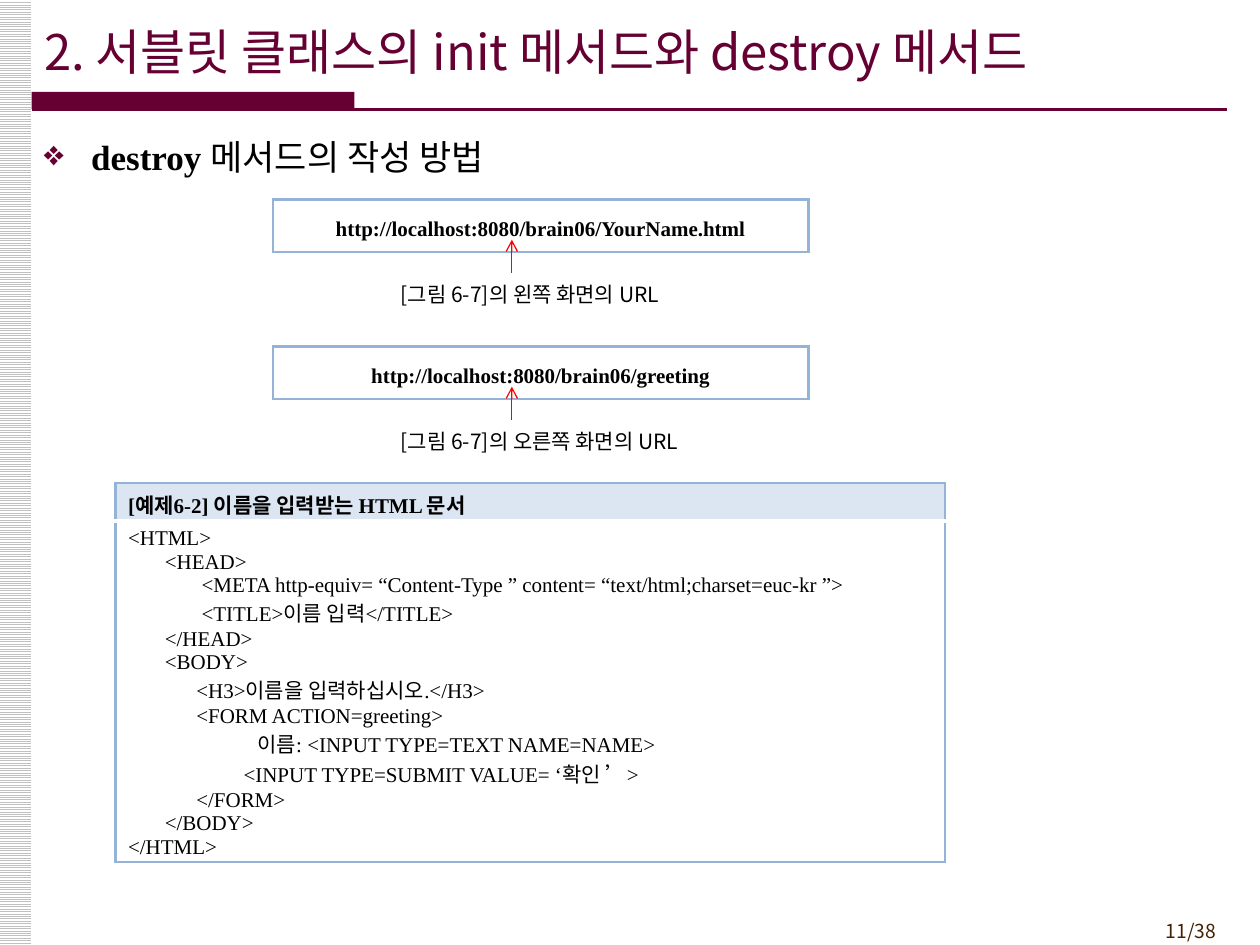
from dataclasses import dataclass
from typing import Optional

from lxml.etree import SubElement
from pptx import Presentation
from pptx.dml.color import RGBColor
from pptx.enum.dml import MSO_PATTERN
from pptx.enum.shapes import MSO_CONNECTOR as Connector, MSO_SHAPE as Shape
from pptx.enum.text import MSO_ANCHOR as Anchor, PP_ALIGN as Align
from pptx.oxml.ns import qn
from pptx.util import Pt


@dataclass(frozen=True)
class Theme:
    sans: str = "Noto Sans CJK KR"
    serif: str = "Times New Roman"
    accent: str = "660033"
    ink: str = "000000"
    paper: str = "FFFFFF"
    stripe: str = "C0C0C0"
    number: str = "452103"
    border: str = "95B3D7"
    header: str = "DCE6F2"
    arrow: str = "FF0000"
    title_size: float = 28
    heading_size: float = 20
    body_size: float = 12
    number_size: float = 11


@dataclass(frozen=True)
class Frame:
    left: float
    top: float
    width: float
    height: float

    def lengths(self):
        return Pt(self.left), Pt(self.top), Pt(self.width), Pt(self.height)


@dataclass(frozen=True)
class UrlExample:
    top: float
    url: str
    caption: str


@dataclass(frozen=True)
class CodeLine:
    indent: float
    text: str


@dataclass(frozen=True)
class Edge:
    color: str
    width: float


THEME = Theme()
BLUE = Edge(THEME.border, 1.5)
WHITE = Edge(THEME.paper, 3)

URL_EXAMPLES = [
    UrlExample(114, "http://localhost:8080/brain06/YourName.html", "[그림 6-7]의 왼쪽 화면의 URL"),
    UrlExample(198, "http://localhost:8080/brain06/greeting", "[그림 6-7]의 오른쪽 화면의 URL"),
]

CODE_LINES = [
    CodeLine(0, "<HTML>"),
    CodeLine(21, "<HEAD>"),
    CodeLine(42, "<META http-equiv= “Content-Type ” content= “text/html;charset=euc-kr ”>"),
    CodeLine(42, "<TITLE>이름 입력</TITLE>"),
    CodeLine(21, "</HEAD>"),
    CodeLine(21, "<BODY>"),
    CodeLine(39, "<H3>이름을 입력하십시오.</H3>"),
    CodeLine(39, "<FORM ACTION=greeting>"),
    CodeLine(74, "이름: <INPUT TYPE=TEXT NAME=NAME>"),
    CodeLine(66, "<INPUT TYPE=SUBMIT VALUE= ‘확인 ’>"),
    CodeLine(39, "</FORM>"),
    CodeLine(21, "</BODY>"),
    CodeLine(0, "</HTML>"),
]


def set_font(font, name: str, size: float, color: str = THEME.ink, bold: bool = False) -> None:
    font.name = name
    font.size = Pt(size)
    font.bold = bold
    font.color.rgb = RGBColor.from_string(color)
    SubElement(font._element, qn("a:ea"), typeface=THEME.sans)


def set_fill(fill, color: str) -> None:
    fill.solid()
    fill.fore_color.rgb = RGBColor.from_string(color)


def indent(para, left: float, first: float = 0) -> None:
    properties = para._p.get_or_add_pPr()
    properties.set("marL", str(Pt(left)))
    properties.set("indent", str(Pt(first)))


def add_box(page, frame: Frame, color: str):
    box = page.shapes.add_shape(Shape.RECTANGLE, *frame.lengths())
    box.shadow.inherit = False
    box.line.fill.background()
    set_fill(box.fill, color)
    return box


def add_line(page, start: tuple, end: tuple, color: str, width: float, arrow: bool = False) -> None:
    line = page.shapes.add_connector(Connector.STRAIGHT, *map(Pt, start + end))
    line.line.color.rgb = RGBColor.from_string(color)
    line.line.width = Pt(width)
    if arrow:
        SubElement(line.line._get_or_add_ln(), qn("a:tailEnd"), type="arrow")
    SubElement(line._element.spPr, qn("a:effectLst"))


def add_table(page, frame: Frame, row_heights: list):
    table = page.shapes.add_table(len(row_heights), 1, *frame.lengths()).table
    table.first_row = table.horz_banding = False
    for row, height in zip(table.rows, row_heights):
        row.height = Pt(height)
    return table


def style_cell(cell, color: str, top: Edge = BLUE, bottom: Edge = BLUE) -> None:
    set_fill(cell.fill, color)
    properties = cell._tc.get_or_add_tcPr()
    sides = {"a:lnL": BLUE, "a:lnR": BLUE, "a:lnT": top, "a:lnB": bottom}
    for position, (tag, edge) in enumerate(sides.items()):
        line = SubElement(properties, qn(tag), w=str(Pt(edge.width)))
        solid = SubElement(line, qn("a:solidFill"))
        SubElement(solid, qn("a:srgbClr"), val=edge.color)
        properties.insert(position, line)


def write(para, text: str, name: str, size: float, color: str = THEME.ink,
          bold: bool = False, align: Optional[Align] = None) -> None:
    para.text = text
    para.alignment = align
    set_font(para.font, name, size, color, bold)


def add_master_parts(page) -> None:
    strip = add_box(page, Frame(-0.72, 0, 18.72, 540), THEME.paper)
    strip.fill.patterned()
    strip.fill.pattern = MSO_PATTERN.LIGHT_HORIZONTAL
    strip.fill.fore_color.rgb = RGBColor.from_string(THEME.stripe)
    strip.fill.back_color.rgb = RGBColor.from_string(THEME.paper)
    number = page.shapes.add_textbox(*Frame(642, 522, 60, 21).lengths()).text_frame
    number.word_wrap = True
    write(number.paragraphs[0], "11/38", THEME.sans, THEME.number_size, THEME.number, align=Align.RIGHT)
    add_box(page, Frame(18, 52.5, 184.5, 10), THEME.accent)
    add_line(page, (18, 62.5), (701, 62.5), THEME.accent, 1.5)


def add_title(page) -> None:
    title = page.shapes.title
    title.left, title.top, title.width, title.height = Frame(18, 6.5, 666, 45).lengths()
    title.text_frame.vertical_anchor = Anchor.MIDDLE
    write(title.text_frame.paragraphs[0], "2. 서블릿 클래스의 init 메서드와 destroy 메서드",
          THEME.sans, THEME.title_size, THEME.accent, align=Align.LEFT)


def add_heading(page) -> None:
    frame = page.shapes.add_textbox(*Frame(18, 74, 684, 450).lengths()).text_frame
    frame.word_wrap = True
    para = frame.paragraphs[0]
    indent(para, 27, -27)
    properties = para._p.get_or_add_pPr()
    bullet_color = SubElement(properties, qn("a:buClr"))
    SubElement(bullet_color, qn("a:srgbClr"), val=THEME.accent)
    SubElement(properties, qn("a:buChar"), char="❖")
    for text, name, bold in [("destroy ", THEME.serif, True), ("메서드의 작성 방법", THEME.sans, False)]:
        span = para.add_run()
        span.text = text
        set_font(span.font, name, THEME.heading_size, bold=bold)


def add_url_example(page, example: UrlExample) -> None:
    cell = add_table(page, Frame(156, example.top, 306, 30), [30]).cell(0, 0)
    style_cell(cell, THEME.paper)
    para = cell.text_frame.paragraphs[0]
    write(para, example.url, THEME.serif, THEME.body_size, bold=True, align=Align.CENTER)
    para.line_spacing = 1.5
    caption = add_box(page, Frame(222, example.top + 42, 174, 24), THEME.paper)
    caption.text_frame.word_wrap = True
    caption.text_frame.vertical_anchor = Anchor.MIDDLE
    write(caption.text_frame.paragraphs[0], example.caption, THEME.sans, THEME.body_size, align=Align.LEFT)
    add_line(page, (292.5, example.top + 42), (292.5, example.top + 23), THEME.arrow, 0.75, arrow=True)


def add_code_listing(page) -> None:
    table = add_table(page, Frame(66, 276, 474, 216), [21, 195])
    header, body = table.cell(0, 0), table.cell(1, 0)
    style_cell(header, THEME.header, bottom=WHITE)
    style_cell(body, THEME.paper, top=WHITE)
    write(header.text_frame.paragraphs[0], "[예제6-2] 이름을 입력받는 HTML 문서",
          THEME.serif, THEME.body_size, bold=True)
    body.text_frame.text = "\n".join(line.text for line in CODE_LINES)
    for para, line in zip(body.text_frame.paragraphs, CODE_LINES):
        indent(para, line.indent)
        set_font(para.font, THEME.serif, THEME.body_size)


def main() -> None:
    deck = Presentation()
    deck.slide_width, deck.slide_height = Pt(720), Pt(540)
    page = deck.slides.add_slide(deck.slide_layouts[5])
    add_master_parts(page)
    add_heading(page)
    add_title(page)
    for example in URL_EXAMPLES:
        add_url_example(page, example)
    add_code_listing(page)
    deck.save("out.pptx")


if __name__ == "__main__":
    main()
